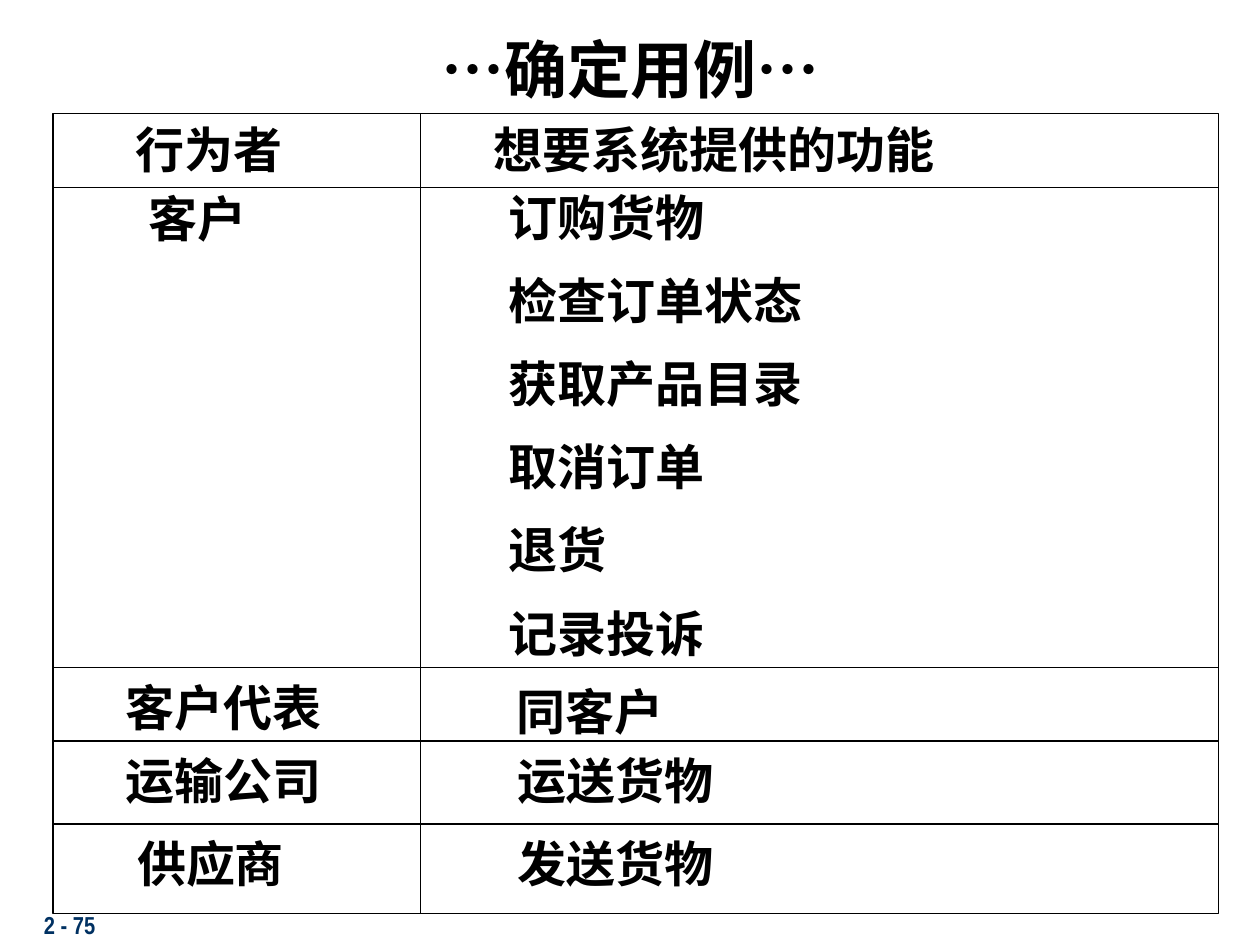
from lxml.etree import SubElement
from pptx import Presentation
from pptx.dml.color import RGBColor
from pptx.enum.shapes import MSO_CONNECTOR, MSO_SHAPE
from pptx.enum.text import MSO_ANCHOR, MSO_AUTO_SIZE, PP_ALIGN
from pptx.oxml.ns import qn
from pptx.util import Inches, Pt

SERIF, CJK, NARROW = "Times New Roman", "Noto Sans CJK SC", "Arial Narrow"
BLACK, NAVY = "000000", "003162"
LEFT, DIVIDER, RIGHT = 0.42, 3.34, 9.67
ROW_EDGES = [0.9, 1.49, 5.3, 5.88, 6.54, 7.25]
LABEL_HEIGHT = 0.57

# left, top, width, wording
LABELS = [
    (0.98, 0.9, 1.42, "行为者"),
    (3.82, 0.9, 3.75, "想要系统提供的功能"),
    (1.08, 1.45, 1.02, "客户"),
    (0.9, 5.33, 1.8, "客户代表"),
    (4, 5.36, 2.08, "同客户"),
    (0.9, 5.91, 1.8, "运输公司"),
    (4.01, 5.91, 1.8, "运送货物"),
    (0.99, 6.57, 1.42, "供应商"),
    (4.01, 6.57, 1.8, "发送货物"),
]
CUSTOMER_USES = ["订购货物", "检查订单状态", "获取产品目录", "取消订单", "退货", "记录投诉"]


def color(value):
    return RGBColor.from_string(value)


def add_span(para, text, size=28, font=SERIF, ink=BLACK):
    span = para.add_run()
    span.text = text
    span.font.size = Pt(size)
    span.font.bold = True
    span.font.color.rgb = color(ink)
    span.font.name = font
    SubElement(span._r.get_or_add_rPr(), qn("a:ea")).set("typeface", CJK)


def add_box(page, left, top, width, height, grows=True):
    """Add an empty text box and return its text frame."""
    box = page.shapes.add_textbox(*map(Inches, (left, top, width, height)))
    frame = box.text_frame
    frame.word_wrap = True
    frame.auto_size = MSO_AUTO_SIZE.SHAPE_TO_FIT_TEXT if grows else MSO_AUTO_SIZE.NONE
    return frame


def set_title(page):
    title = page.shapes.title
    title.left, title.top, title.width, title.height = map(Inches, (0.17, 0.17, 9.67, 0.75))
    frame = title.text_frame
    frame.auto_size = MSO_AUTO_SIZE.NONE
    frame.vertical_anchor = MSO_ANCHOR.MIDDLE
    para = frame.paragraphs[0]
    para.alignment = PP_ALIGN.CENTER
    for text, font in (("…", SERIF), ("确定用例", CJK), ("…", SERIF)):
        add_span(para, text, 36, font)


def add_frame(page):
    outline = page.shapes.add_shape(
        MSO_SHAPE.RECTANGLE, Inches(LEFT), Inches(ROW_EDGES[0]),
        Inches(RIGHT - LEFT), Inches(ROW_EDGES[-1] - ROW_EDGES[0]))
    outline.shadow.inherit = False
    outline.fill.background()
    outline.line.color.rgb = color(BLACK)
    outline.line.width = Pt(0.75)


def add_rule(page, x1, y1, x2, y2):
    rule = page.shapes.add_connector(
        MSO_CONNECTOR.STRAIGHT, *map(Inches, (x1, y1, x2, y2)))
    rule.line.color.rgb = color(BLACK)
    rule.line.width = Pt(0.75)
    SubElement(rule._element.spPr, qn("a:effectLst"))


def add_use_list(page):
    frame = add_box(page, 3.44, 1.49, 3.4, 3.84)
    for index, use in enumerate(CUSTOMER_USES):
        para = frame.add_paragraph() if index else frame.paragraphs[0]
        para.level = 1
        props = para._p.get_or_add_pPr()
        props.set("marL", str(Inches(0.5)))
        props.set("indent", "0")
        para.line_spacing = Pt(30)
        if index:
            para.space_before = Pt(17.5)
        add_span(para, use)


def main():
    deck = Presentation()
    deck.slide_width, deck.slide_height = Inches(10), Inches(7.5)
    page = deck.slides.add_slide(deck.slide_layouts[5])

    number = add_box(page, 0.25, 7.17, 2.08, 0.33, grows=False)
    add_span(number.paragraphs[0], "2 - 75", 14, NARROW, NAVY)
    set_title(page)
    add_frame(page)
    for left, top, width, text in LABELS:
        frame = add_box(page, left, top, width, LABEL_HEIGHT)
        add_span(frame.paragraphs[0], text)
    add_use_list(page)
    for edge in ROW_EDGES[1:-1]:
        add_rule(page, LEFT, edge, RIGHT, edge)
    add_rule(page, DIVIDER, ROW_EDGES[0], DIVIDER, ROW_EDGES[-1])

    deck.save("out.pptx")


if __name__ == "__main__":
    main()
